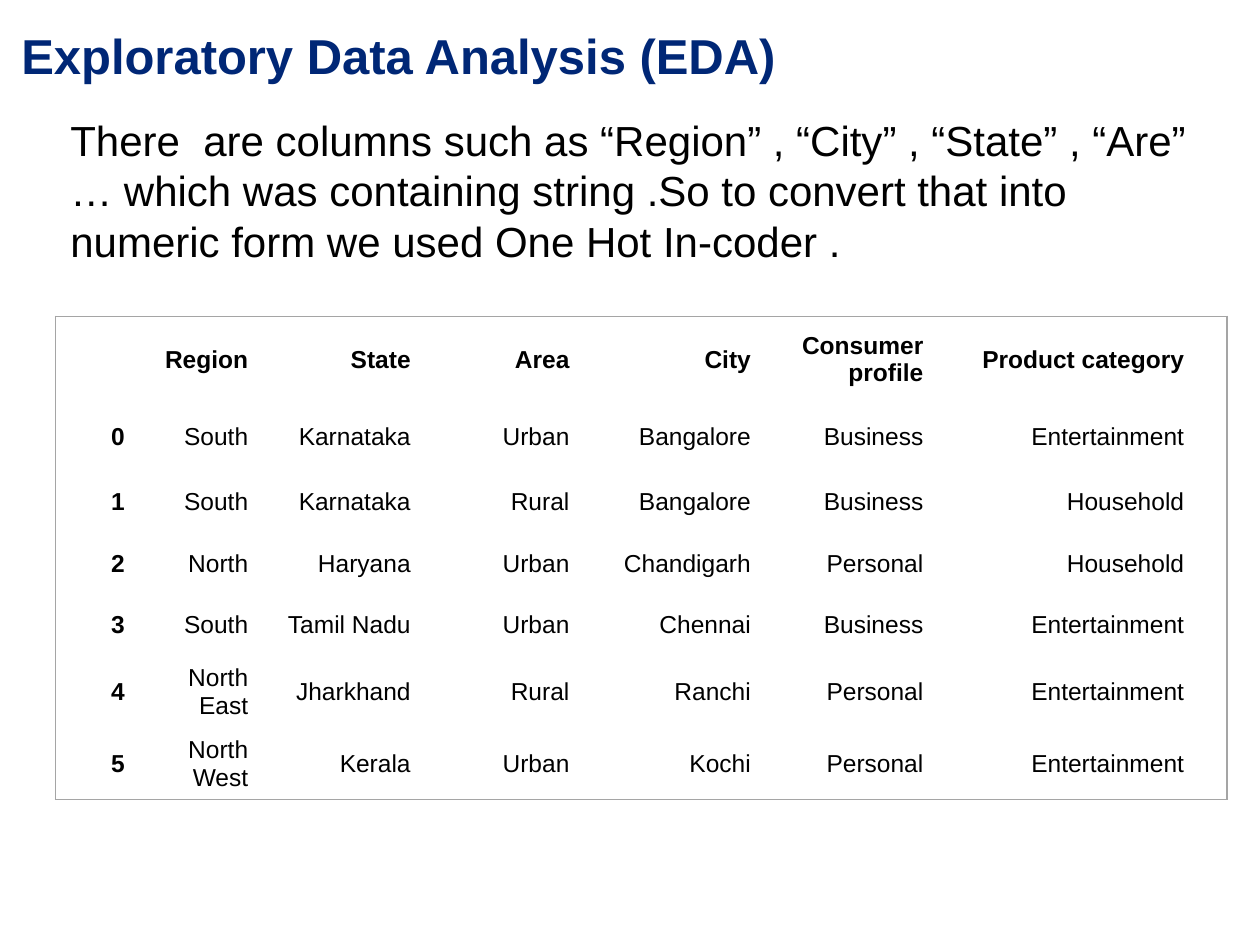
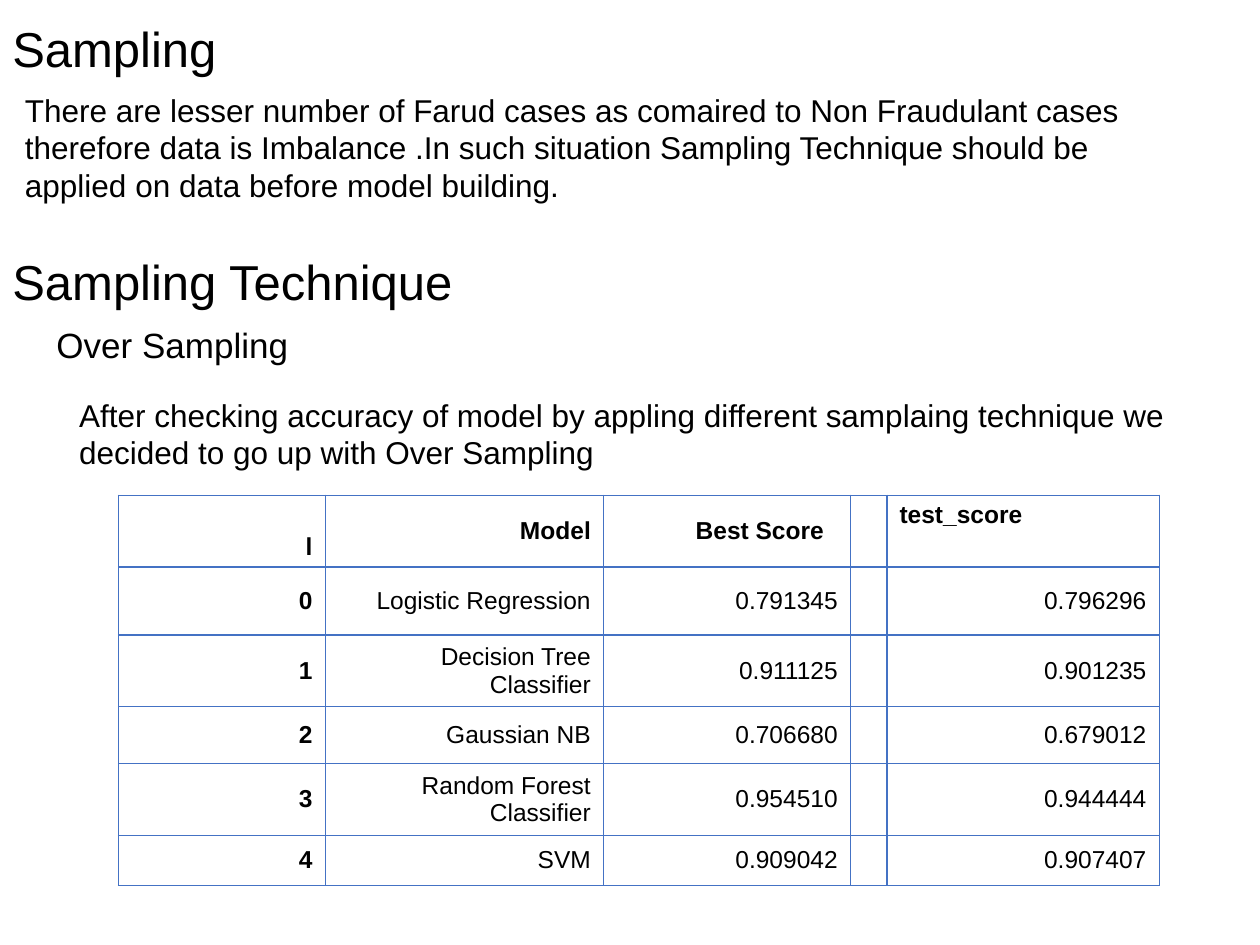
import pptx
import pptx.util
import pptx.dml.color
import pptx.enum.text
import pptx.oxml
import pptx.oxml.ns
from lxml import etree

Inches = pptx.util.Inches
ALIGN = pptx.enum.text.PP_ALIGN
ANCHOR = pptx.enum.text.MSO_ANCHOR
FIT = pptx.enum.text.MSO_AUTO_SIZE
BLACK, NAVY, GREY, BLUE = "000000", "002776", "A5A5A5", "4472C4"


def color(code):
    return pptx.dml.color.RGBColor.from_string(code)


def write(frame, text, size=14, ink=BLACK, bold=False, align=ALIGN.LEFT):
    para = frame.paragraphs[0]
    para.alignment = align
    run = para.add_run()
    run.text = text
    run.font.name = "Arial"
    run.font.size = pptx.util.Pt(size)
    run.font.bold = bold
    run.font.color.rgb = color(ink)


def edge(cell, index, side, ink):
    line = pptx.oxml.parse_xml(
        f'<a:ln{side} {pptx.oxml.ns.nsdecls("a")} w="{pptx.util.Pt(0.75)}"/>')
    kind = "a:solidFill" if ink else "a:noFill"
    fill = etree.SubElement(line, pptx.oxml.ns.qn(kind))
    if ink:
        etree.SubElement(fill, pptx.oxml.ns.qn("a:srgbClr"), val=ink)
    cell._tc.get_or_add_tcPr().insert(index, line)


class Deck:
    def __init__(self):
        self.show = pptx.Presentation()
        self.show.slide_width = Inches(10)
        self.show.slide_height = Inches(7.5)
        self.slide = None

    def page(self):
        self.slide = self.show.slides.add_slide(self.show.slide_layouts[6])

    def text(self, text, left, top, width, height, inset=True, **style):
        box = self.slide.shapes.add_textbox(
            Inches(left), Inches(top), Inches(width), Inches(height))
        frame = box.text_frame
        frame.word_wrap = True
        frame.auto_size = FIT.SHAPE_TO_FIT_TEXT if inset else FIT.NONE
        frame.margin_left = frame.margin_right = Inches(0.1 if inset else 0)
        frame.margin_top = frame.margin_bottom = Inches(0.05 if inset else 0)
        write(frame, text, **style)

    def table(self, data, left, top, widths, heights, ink, grid=False):
        shape = self.slide.shapes.add_table(
            len(heights), len(widths), Inches(left), Inches(top),
            Inches(sum(widths)), Inches(sum(heights)))
        table = shape.table
        table.first_row = table.horz_banding = False
        for col, width in zip(table.columns, widths):
            col.width = Inches(width)
        for row, height in zip(table.rows, heights):
            row.height = Inches(height)
        for r, line in enumerate(data):
            for c, text in enumerate(line):
                cell = table.cell(r, c)
                cell.fill.background()
                cell.vertical_anchor = ANCHOR.MIDDLE
                if text:
                    write(cell.text_frame, text, bold=r == 0 or c == 0,
                          align=ALIGN.RIGHT)
                outer = {"L": c == 0, "R": c == len(widths) - 1,
                         "T": r == 0, "B": r == len(heights) - 1}
                for index, (side, rim) in enumerate(outer.items()):
                    edge(cell, index, side, ink if grid or rim else None)
        return table


def explore(deck):
    deck.page()
    deck.text("Exploratory Data Analysis (EDA)", 0.17, 0.2, 9.3, 0.94,
              inset=False, size=28, ink=NAVY, bold=True)
    deck.text("There  are columns such as “Region” , “City” , “State” , “Are” … "
              "which was containing string .So to convert that into numeric "
              "form we used One Hot In-coder .", 0.46, 0.86, 9.12, 1.31, size=24)
    data = [
        ("", "Region", "State", "Area", "City", "Consumer profile",
         "Product category", ""),
        ("0", "South", "Karnataka", "Urban", "Bangalore", "Business",
         "Entertainment", ""),
        ("1", "South", "Karnataka", "Rural", "Bangalore", "Business",
         "Household", ""),
        ("2", "North", "Haryana", "Urban", "Chandigarh", "Personal",
         "Household", ""),
        ("3", "South", "Tamil Nadu", "Urban", "Chennai", "Business",
         "Entertainment", ""),
        ("4", "North East", "Jharkhand", "Rural", "Ranchi", "Personal",
         "Entertainment", ""),
        ("5", "North West", "Kerala", "Urban", "Kochi", "Personal",
         "Entertainment", ""),
    ]
    deck.table(data, 0.44, 2.51,
               [0.65, 0.98, 1.29, 1.26, 1.44, 1.37, 2.07, 0.23],
               [0.69, 0.54, 0.49, 0.49, 0.49, 0.57, 0.57], GREY)


def sample(deck):
    deck.page()
    deck.text("There are lesser number of Farud cases as comaired to Non "
              "Fraudulant cases therefore data is Imbalance .In such situation "
              "Sampling Technique should be applied on data before model "
              "building.", 0.1, 0.67, 9.43, 1.01, size=18)
    deck.text("Sampling", 0, 0.1, 2.04, 0.57, size=28)
    deck.text("Sampling Technique", 0, 1.95, 3.79, 0.57, size=28)
    deck.text("Over Sampling", 0.35, 2.52, 2.57, 0.44, size=20)
    deck.text("After checking accuracy of model by appling different samplaing "
              "technique we decided to go up with Over Sampling",
              0.53, 3.09, 9.24, 0.71, size=18)
    data = [
        ("l", "Model", "Best Score", "", "test_score"),
        ("0", "Logistic Regression", "0.791345", "", "0.796296"),
        ("1", "Decision Tree Classifier", "0.911125", "", "0.901235"),
        ("2", "Gaussian NB", "0.706680", "", "0.679012"),
        ("3", "Random Forest Classifier", "0.954510", "", "0.944444"),
        ("4", "SVM", "0.909042", "", "0.907407"),
    ]
    table = deck.table(data, 0.94, 3.93, [1.64, 2.21, 1.96, 0.29, 2.16],
                       [0.57, 0.54, 0.57, 0.45, 0.57, 0.4], BLUE, grid=True)
    table.cell(0, 0).vertical_anchor = ANCHOR.BOTTOM
    table.cell(0, 2).margin_right = Inches(0.21)
    score = table.cell(0, 4)
    score.vertical_anchor = ANCHOR.TOP
    score.text_frame.paragraphs[0].alignment = ALIGN.LEFT


def main():
    deck = Deck()
    explore(deck)
    sample(deck)
    deck.show.save("out.pptx")


if __name__ == "__main__":
    main()
